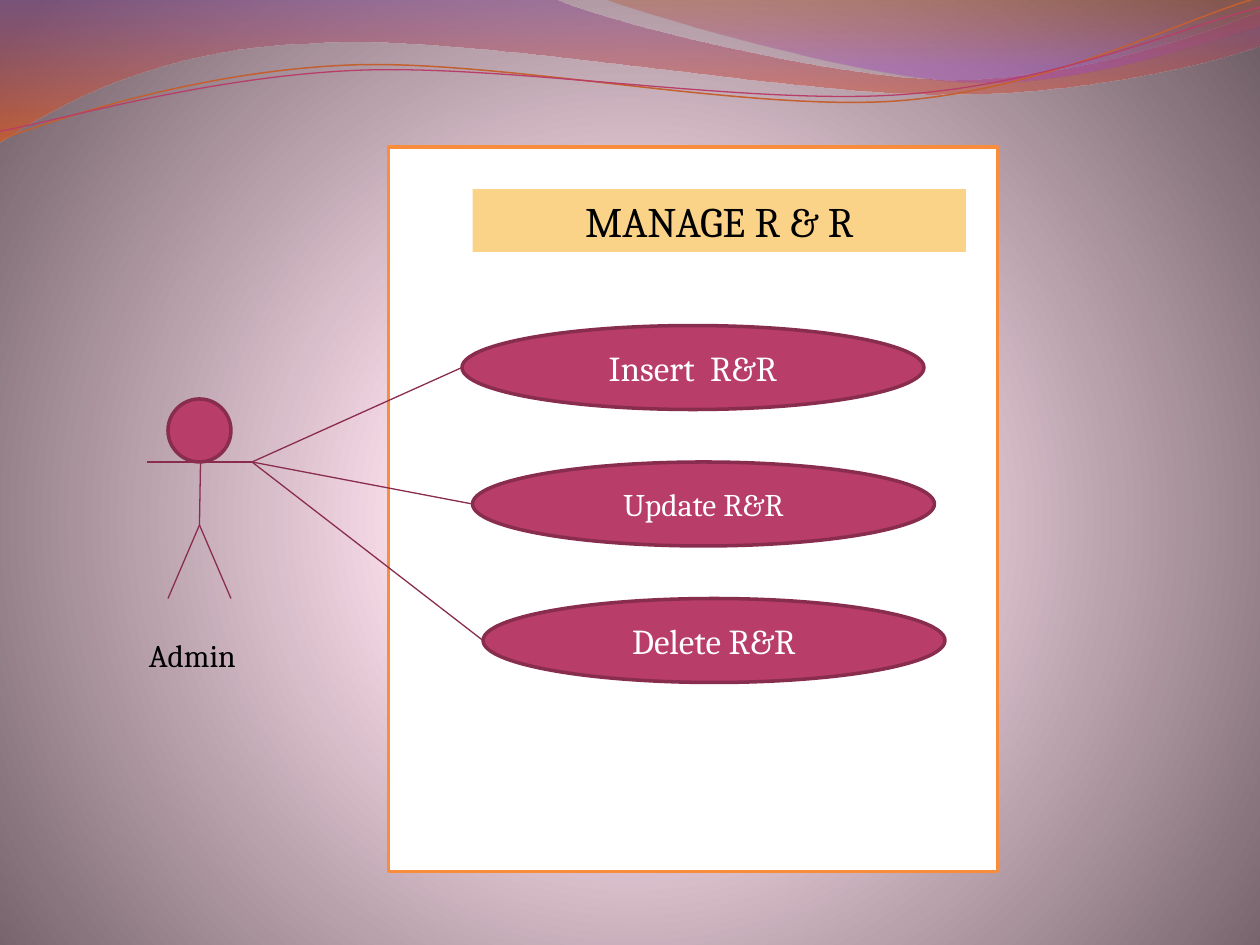
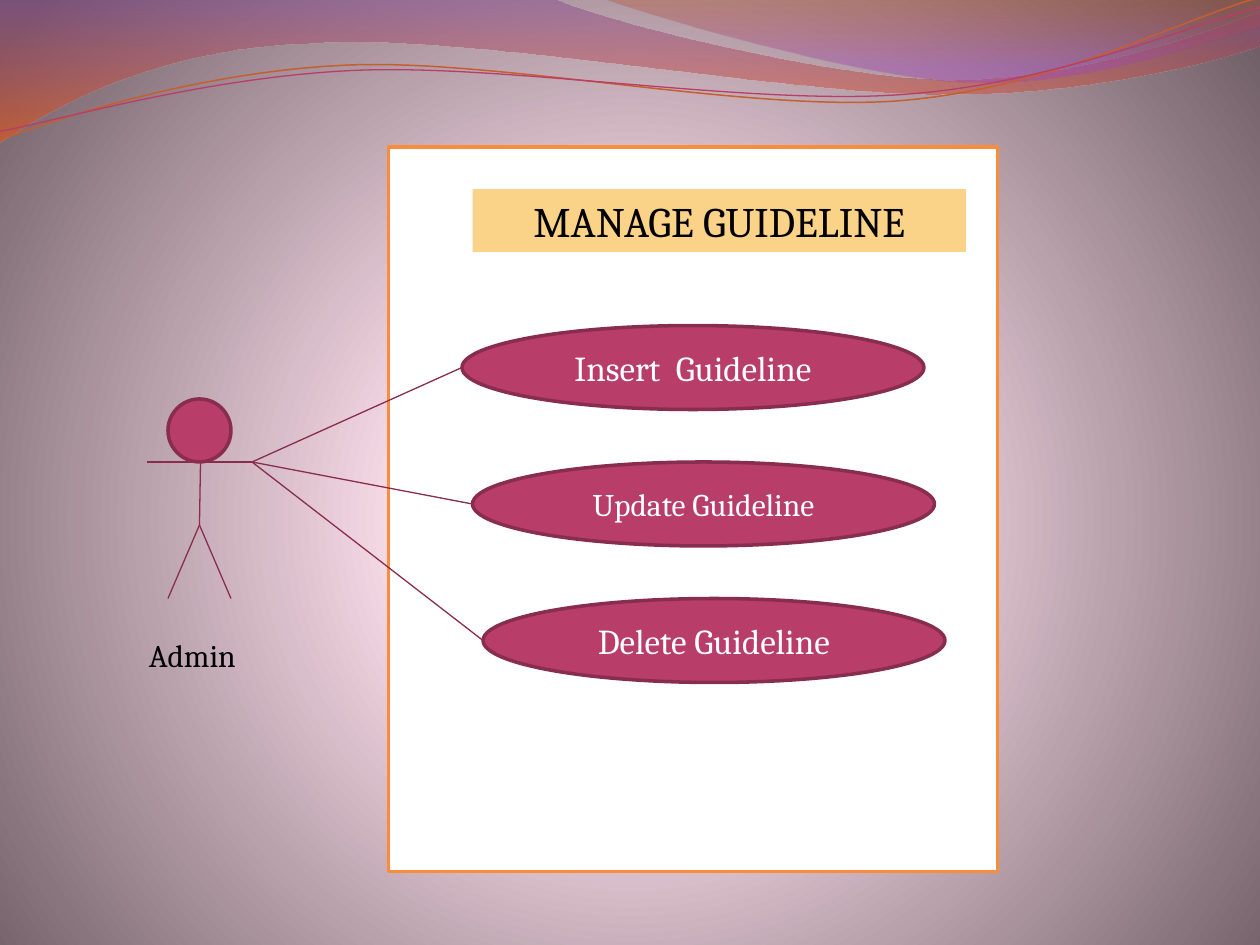
from dataclasses import dataclass
from pptx import Presentation
from pptx.dml.color import RGBColor as RGB
from pptx.enum.shapes import MSO_CONNECTOR as Link, MSO_SHAPE as Kind
from pptx.enum.text import MSO_ANCHOR as Anchor, MSO_AUTO_SIZE as Fit, PP_ALIGN as Align
from pptx.oxml import parse_xml
from pptx.oxml.ns import nsdecls, qn
from pptx.util import Pt

SLIDES = [
    ("MANAGE R & R", ["Insert  R&R", "Update R&R", "Delete R&R"]),
    ("MANAGE GUIDELINE", ["Insert  Guideline", "Update Guideline", "Delete Guideline"]),
]
ACTOR = "Admin"


@dataclass(frozen=True)
class Theme:
    font: str = "Cambria"
    text: str = "000000"
    white: str = "FFFFFF"
    frame: str = "FA8D3D"
    band: str = "FBD388"
    rose: str = "B83D68"
    edge: str = "882D4D"
    link: str = "892C4D"
    rust: str = "C45F30"
    head: int = 24
    label: int = 18
    cases: tuple = (20, 18, 20)
    thick: float = 2
    thin: float = 0.75
    back: tuple = ((0, "FFE3F0", 100), (25, "FFE2EF", 100), (100, "715F67", 100))
    left: tuple = ((0, "834591", 45), (100, "F35307", 55))
    right: tuple = ((0, "B74915", 30), (80, "A14BB4", 45))


T = Theme()
PX = 7620
WIDE, HIGH = 1200, 900

PANEL = (370, 140, 580, 690)
TITLE = (450, 180, 470, 60)
NAME = (130, 600, 160, 50)
HEAD = (160, 380, 60, 60)
CASE = (440, 310, 440, 80)
STEP = (10, 130)
NECK, HIP, HAND = (191, 440), (190, 500), (240, 440)
BODY = [(NECK, HIP), (HIP, (160, 570)), (HIP, (220, 570)), ((140, 440), HAND)]

BANDS = [
    (T.left, [(0, 0), (528, -1),
              (571, 20, 797, 76, 910, 76), (1024, 76, 1150, 31, 1200, 11),
              (1201, 43), (1180, 53, 1044, 91, 895, 90),
              (746, 90, 458, 34, 308, 41), (155, 43, 55, 100, -1, 136)]),
    (T.right, [(575, -1), (611, 13, 818, 74, 923, 78),
               (1027, 83, 1153, 38, 1200, 25), (1200, 0)]),
]
CURVES = [
    (T.rust, 0.85, [(0, 133), (58, 112, 190, 68, 332, 62),
                    (474, 56, 712, 107, 856, 96), (1000, 85, 1126, 18, 1198, -2)]),
    (T.rose, T.thin, [(0, 125), (56, 115, 197, 73, 340, 67),
                      (484, 61, 716, 101, 860, 90), (1003, 80, 1129, 25, 1200, 7)]),
]


def emu(vals):
    return [round(v * PX) for v in vals]


def paint(fill, tone):
    fill.solid()
    fill.fore_color.rgb = RGB.from_string(tone)


def ink(line, tone, width):
    paint(line.fill, tone)
    line.width = Pt(width)


def blend(fill, props, stops, shade):
    paint(fill, T.white)
    marks = "".join(
        f'<a:gs pos="{at * 1000}"><a:srgbClr val="{tone}">'
        f'<a:alpha val="{alpha * 1000}"/></a:srgbClr></a:gs>'
        for at, tone, alpha in stops)
    grad = parse_xml(f'<a:gradFill {nsdecls("a")} rotWithShape="1">'
                     f'<a:gsLst>{marks}</a:gsLst>{shade}</a:gradFill>')
    props.replace(props.find(qn("a:solidFill")), grad)


def wave(shapes, steps, close):
    ends = [emu(step[-2:]) for step in steps]
    pen = shapes.build_freeform(*ends[0], scale=1.0)
    pen.add_line_segments(ends[1:], close=close)
    form = pen.convert_to_shape()
    form.shadow.inherit = False
    sides = list(form.element.iter(qn("a:lnTo")))
    for side, step in zip(sides, steps[1:]):
        if len(step) == 6:
            vals = emu(step)
            pts = "".join(f'<a:pt x="{x - form.left}" y="{y - form.top}"/>'
                          for x, y in zip(vals[::2], vals[1::2]))
            bend = parse_xml(f'<a:cubicBezTo {nsdecls("a")}>{pts}</a:cubicBezTo>')
            side.getparent().replace(side, bend)
    return form


def dress(deck, shapes):
    master = deck.slide_master
    fill = master.background.fill
    paint(fill, T.white)
    blend(fill, master.element.cSld.find(f'{qn("p:bg")}/{qn("p:bgPr")}'), T.back,
          '<a:path path="circle"><a:fillToRect l="10000" t="110000" '
          'r="10000" b="100000"/></a:path>')
    forms = []
    for stops, steps in BANDS:
        form = wave(shapes, steps, True)
        blend(form.fill, form.element.spPr, stops, '<a:lin ang="5400000" scaled="1"/>')
        form.line.fill.background()
        forms.append(form)
    for tone, width, steps in CURVES:
        form = wave(shapes, steps, False)
        form.fill.background()
        ink(form.line, tone, width)
        forms.append(form)
    for i, form in enumerate(forms):
        form.element.nvSpPr.cNvPr.set("id", str(20 + i))
        master.shapes.element.insert(2 + i, form.element)


def write(shape, text, size, tone, align, anchor):
    frame = shape.text_frame
    frame.word_wrap = True
    frame.auto_size = Fit.NONE
    frame.vertical_anchor = anchor
    para = frame.paragraphs[0]
    para.alignment = align
    run = para.add_run()
    run.text = text
    run.font.name = T.font
    run.font.size = Pt(size)
    run.font.color.rgb = RGB.from_string(tone)


def block(shapes, kind, box, fill=T.rose, edge=T.edge):
    shape = shapes.add_shape(kind, *emu(box))
    shape.shadow.inherit = False
    paint(shape.fill, fill)
    ink(shape.line, edge, T.thick)
    return shape


def join(shapes, start, end):
    line = shapes.add_connector(Link.STRAIGHT, *emu(start + end))
    ink(line.line, T.link, T.thin)
    line.element.spPr.append(parse_xml(f'<a:effectLst {nsdecls("a")}/>'))


def draw(slide, title, cases):
    shapes = slide.shapes
    block(shapes, Kind.FLOWCHART_PROCESS, PANEL, T.white, T.frame)

    head = shapes.title
    shapes.element.append(head.element)
    head.left, head.top, head.width, head.height = emu(TITLE)
    paint(head.fill, T.band)
    write(head, title, T.head, T.text, Align.CENTER, Anchor.TOP)

    ports = []
    x, y, w, h = CASE
    for i, (text, size) in enumerate(zip(cases, T.cases)):
        left, top = x + i * STEP[0], y + i * STEP[1]
        oval = block(shapes, Kind.OVAL, (left, top, w, h))
        write(oval, text, size, T.white, Align.CENTER, Anchor.MIDDLE)
        ports.append((left, top + h // 2))

    name = shapes.add_textbox(*emu(NAME))
    write(name, ACTOR, T.label, T.text, Align.LEFT, Anchor.TOP)
    block(shapes, Kind.FLOWCHART_CONNECTOR, HEAD)
    for start, end in BODY + [(HAND, port) for port in ports]:
        join(shapes, start, end)


def main():
    deck = Presentation()
    deck.slide_width, deck.slide_height = emu((WIDE, HIGH))
    for i, (title, cases) in enumerate(SLIDES):
        slide = deck.slides.add_slide(deck.slide_layouts.get_by_name("Title Only"))
        if i == 0:
            dress(deck, slide.shapes)
        draw(slide, title, cases)
    deck.save("out.pptx")


if __name__ == "__main__":
    main()
